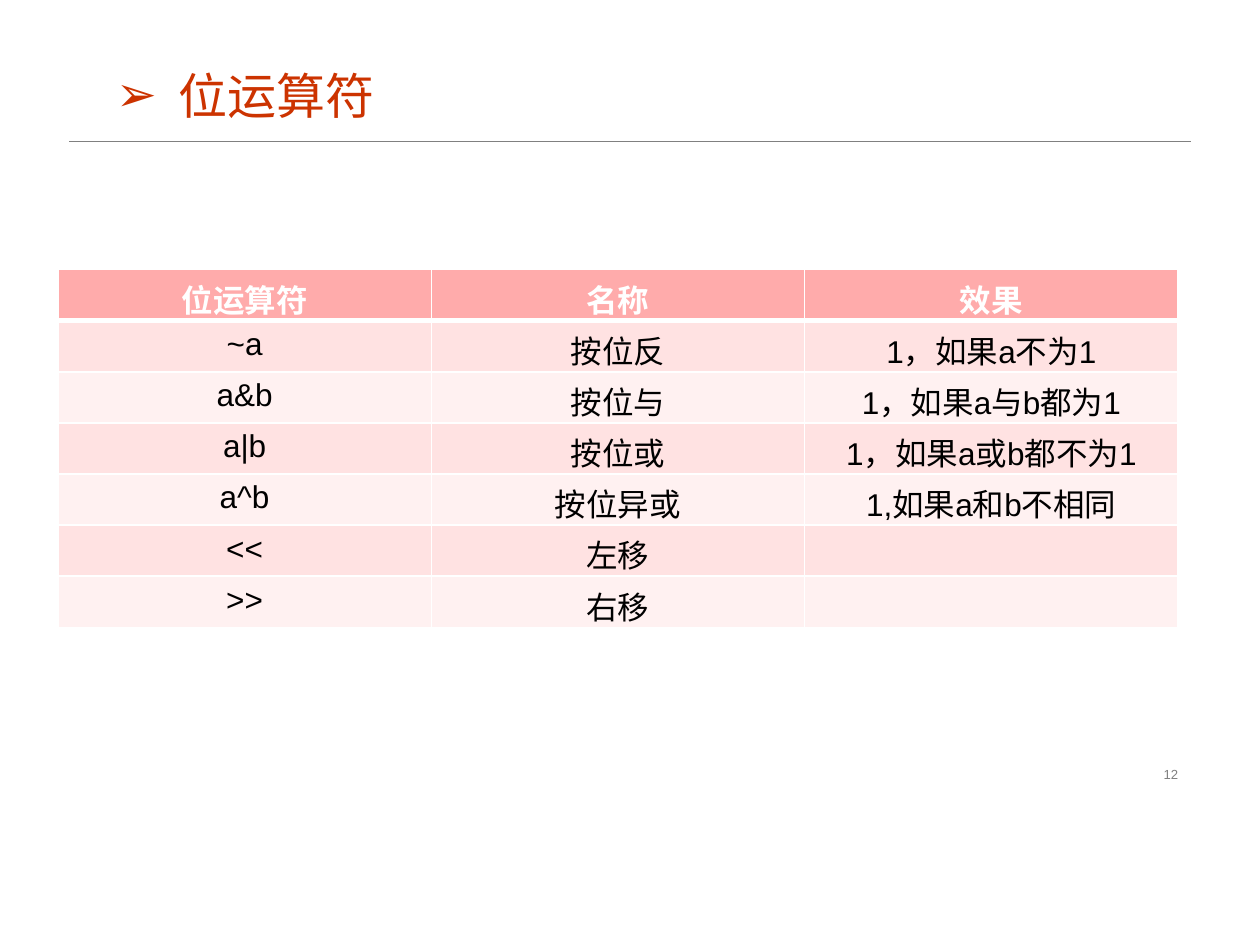
from lxml import etree
from pptx import Presentation
from pptx.dml.color import RGBColor
from pptx.enum.shapes import MSO_CONNECTOR
from pptx.enum.text import MSO_ANCHOR, MSO_AUTO_SIZE, PP_ALIGN
from pptx.oxml.ns import qn
from pptx.util import Inches, Pt

STRAIGHT = MSO_CONNECTOR.STRAIGHT
TOP, MIDDLE = MSO_ANCHOR.TOP, MSO_ANCHOR.MIDDLE
LEFT, CENTER, RIGHT = PP_ALIGN.LEFT, PP_ALIGN.CENTER, PP_ALIGN.RIGHT
FIT_SHAPE = MSO_AUTO_SIZE.SHAPE_TO_FIT_TEXT

WHITE = RGBColor(0xFF, 0xFF, 0xFF)
BLACK = RGBColor(0, 0, 0)
GRAY = RGBColor(0x80, 0x80, 0x80)
RED = RGBColor(0xCC, 0x33, 0x00)
HEADER_PINK = RGBColor(0xFF, 0xAB, 0xAB)
BAND_PINKS = [RGBColor(0xFF, 0xF1, 0xF1), RGBColor(0xFF, 0xE2, 0xE2)]

OPERATORS = [
    ("位运算符", "名称", "效果"),
    ("~a", "按位反", "1，如果a不为1"),
    ("a&b", "按位与", "1，如果a与b都为1"),
    ("a|b", "按位或", "1，如果a或b都不为1"),
    ("a^b", "按位异或", "1,如果a和b不相同"),
    ("<<", "左移", ""),
    (">>", "右移", ""),
]


def format_text(paragraph, align, color, **font_values):
    paragraph.alignment = align
    paragraph.font.color.rgb = color
    for name, value in font_values.items():
        setattr(paragraph.font, name, value)


def add_border(cell, side, points):
    line = etree.SubElement(cell._tc.get_or_add_tcPr(), qn(f"a:ln{side}"), w=str(Pt(points)))
    fill = etree.SubElement(line, qn("a:solidFill"))
    etree.SubElement(fill, qn("a:srgbClr"), val=str(WHITE))


prs = Presentation()
prs.slide_width, prs.slide_height = Inches(10), Inches(7.5)
slide = prs.slides.add_slide(prs.slide_layouts[5])

# Title with arrow bullet
title = slide.shapes.title
title.left, title.top, title.width, title.height = map(Inches, (0.82, 0.47, 2.28, 0.57))
title.text = "位运算符"
title_format = {"word_wrap": False, "auto_size": FIT_SHAPE, "vertical_anchor": TOP}
for name, value in title_format.items():
    setattr(title.text_frame, name, value)
heading = title.text_frame.paragraphs[0]
format_text(heading, LEFT, RED, size=Pt(28), name="Times New Roman")
heading_props = heading._p.get_or_add_pPr()
heading_props.set("marL", str(Inches(0.5)))
heading_props.set("indent", str(-Inches(0.5)))
etree.SubElement(heading_props, qn("a:buFont"), typeface="Arial")
etree.SubElement(heading_props, qn("a:buChar"), char="➢")

# Rule under the title
rule = slide.shapes.add_connector(STRAIGHT, *map(Inches, (0.55, 1.12, 9.45, 1.12)))
rule.line.color.rgb = GRAY
rule.line.width = Pt(0.25)
etree.SubElement(rule._element.spPr, qn("a:effectLst"))

# Operator table
table = slide.shapes.add_table(
    len(OPERATORS), 3, *map(Inches, (0.46, 2.14, 8.89, 2.84))).table
for row, texts in enumerate(OPERATORS):
    is_header = row == 0
    for column, text in enumerate(texts):
        cell = table.cell(row, column)
        cell.text = text
        format_text(cell.text_frame.paragraphs[0], CENTER, WHITE if is_header else BLACK,
                    size=Pt(18), name="Arial", bold=is_header)
        borders = {"L": 1, "R": 1, "T": 3 if row == 1 else 1, "B": 3 if is_header else 1}
        for side, points in borders.items():
            add_border(cell, side, points)
        cell.fill.solid()
        cell.fill.fore_color.rgb = HEADER_PINK if is_header else BAND_PINKS[row % 2]

# Page number
page_number = slide.shapes.add_textbox(*map(Inches, (7.06, 6.06, 2.39, 0.17))).text_frame
page_number.text = "12"
page_format = {"word_wrap": True, "vertical_anchor": MIDDLE, "margin_top": 0, "margin_bottom": 0}
for name, value in page_format.items():
    setattr(page_number, name, value)
format_text(page_number.paragraphs[0], RIGHT, GRAY, size=Pt(7.5), name="Arial")

prs.save("out.pptx")
